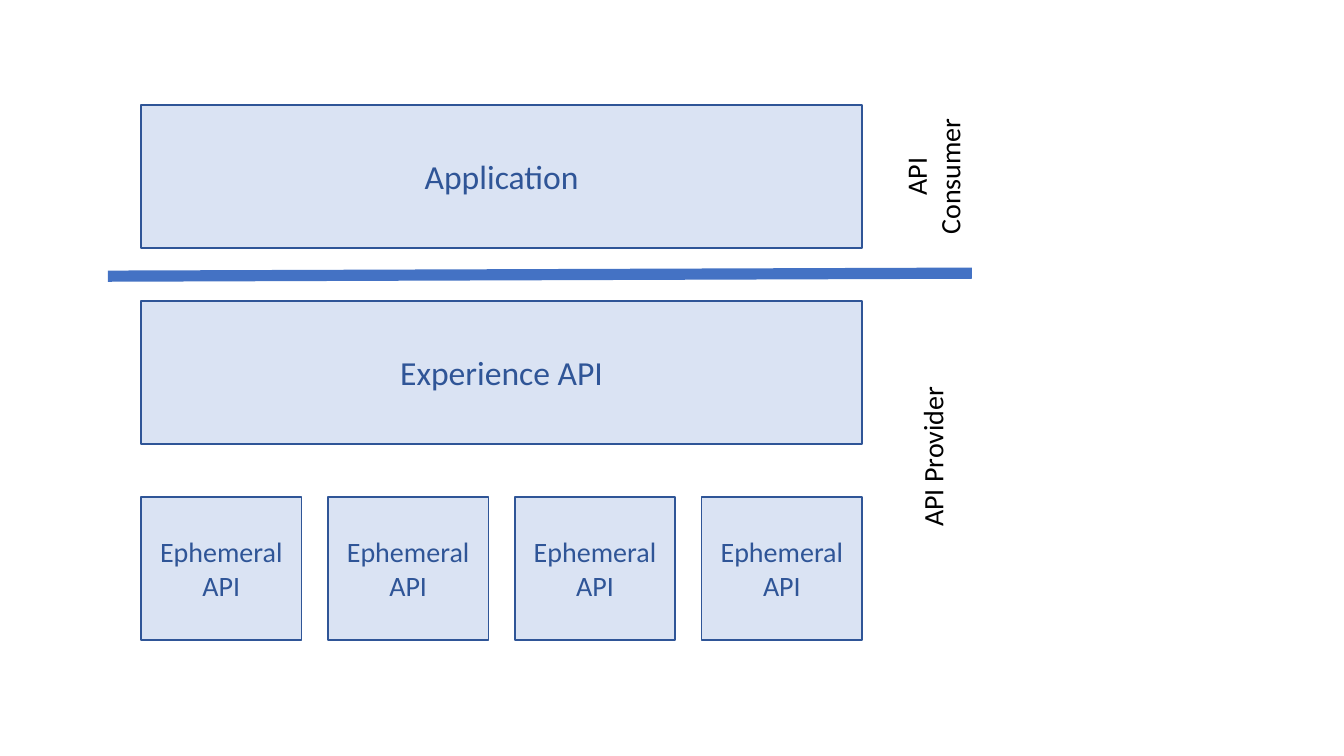
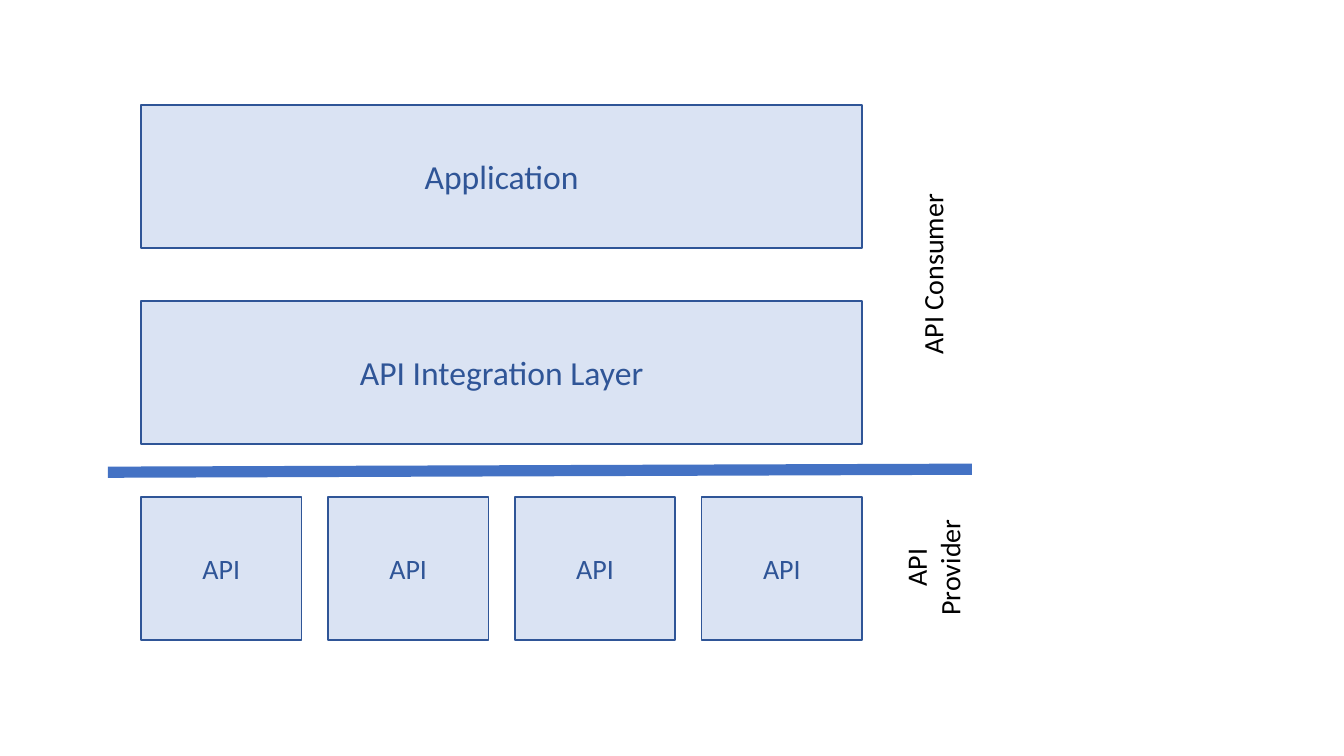
from dataclasses import dataclass

from lxml import etree
from pptx import Presentation
from pptx.dml.color import RGBColor
from pptx.enum.shapes import MSO_CONNECTOR, MSO_SHAPE
from pptx.enum.text import MSO_ANCHOR, MSO_AUTO_SIZE, PP_ALIGN
from pptx.oxml.ns import qn
from pptx.util import Inches, Pt

RECTANGLE = MSO_SHAPE.RECTANGLE
STRAIGHT = MSO_CONNECTOR.STRAIGHT
MIDDLE = MSO_ANCHOR.MIDDLE
CENTER = PP_ALIGN.CENTER
FIT_SHAPE = MSO_AUTO_SIZE.SHAPE_TO_FIT_TEXT


@dataclass(frozen=True)
class Theme:
    font: str = "Calibri"
    fill: RGBColor = RGBColor(0xDA, 0xE3, 0xF3)
    outline: RGBColor = RGBColor(0x2F, 0x55, 0x97)
    divider: RGBColor = RGBColor(0x44, 0x72, 0xC4)
    label: RGBColor = RGBColor(0, 0, 0)
    layer_size: Pt = Pt(24)
    small_size: Pt = Pt(20)
    outline_width: Pt = Pt(1)
    divider_width: Pt = Pt(8)


THEME = Theme()

LEFT, TOP = 1.4, 1.04
LAYER_WIDTH, LAYER_HEIGHT = 7.15, 1.42
ROW_PITCH = 1.945
API_COUNT, API_WIDTH = 4, 1.59
API_PITCH = (LAYER_WIDTH - API_WIDTH) / (API_COUNT - 1)
DIVIDER_LEFT, DIVIDER_RIGHT = 1.07, 9.64
DIVIDER_OFFSET, DIVIDER_RISE = 1.7, 0.03
LABEL_CENTER = 9.25

# Labels are (text, vertical center, width, height) before rotation.
DIAGRAMS = [
    {
        "layers": ["Application", "Experience API"],
        "api": "Ephemeral API",
        "divider_row": 0,
        "labels": [("API Provider", 4.53, 1.61, 0.44),
                   ("API\nConsumer", 1.75, 1.37, 0.77)],
    },
    {
        "layers": ["Application", "API Integration Layer"],
        "api": "API",
        "divider_row": 1,
        "labels": [("API\nProvider", 5.63, 1.16, 0.77),
                   ("API Consumer", 2.72, 1.81, 0.44)],
    },
]


def write_centered(shape, text, size, color):
    shape.text_frame.text = text
    for para in shape.text_frame.paragraphs:
        para.alignment = CENTER
        for span in para.runs:
            span.font.name = THEME.font
            span.font.size = size
            span.font.color.rgb = color


def add_block(page, left, row, width, text, size):
    block = page.shapes.add_shape(
        RECTANGLE, Inches(left), Inches(TOP + row * ROW_PITCH),
        Inches(width), Inches(LAYER_HEIGHT))
    block.shadow.inherit = False
    block.fill.solid()
    block.fill.fore_color.rgb = THEME.fill
    block.line.color.rgb = THEME.outline
    block.line.width = THEME.outline_width
    block.text_frame.word_wrap = True
    block.text_frame.vertical_anchor = MIDDLE
    write_centered(block, text, size, THEME.outline)


deck = Presentation()
deck.slide_width = Inches(13.33)
deck.slide_height = Inches(7.5)
blank_layout = deck.slide_layouts[6]

for diagram in DIAGRAMS:
    page = deck.slides.add_slide(blank_layout)

    for row, name in enumerate(diagram["layers"]):
        add_block(page, LEFT, row, LAYER_WIDTH, name, THEME.layer_size)
    for column in range(API_COUNT):
        add_block(page, LEFT + column * API_PITCH, len(diagram["layers"]),
                  API_WIDTH, diagram["api"], THEME.small_size)

    divider_top = TOP + diagram["divider_row"] * ROW_PITCH + DIVIDER_OFFSET
    divider = page.shapes.add_connector(
        STRAIGHT, Inches(DIVIDER_LEFT), Inches(divider_top),
        Inches(DIVIDER_RIGHT), Inches(divider_top - DIVIDER_RISE))
    divider.line.color.rgb = THEME.divider
    divider.line.width = THEME.divider_width
    etree.SubElement(divider._element.spPr, qn("a:effectLst"))

    for text, center, width, height in diagram["labels"]:
        label = page.shapes.add_textbox(
            Inches(LABEL_CENTER - width / 2), Inches(center - height / 2),
            Inches(width), Inches(height))
        label.rotation = 270
        label.text_frame.word_wrap = False
        label.text_frame.auto_size = FIT_SHAPE
        write_centered(label, text, THEME.small_size, THEME.label)

deck.save("out.pptx")
